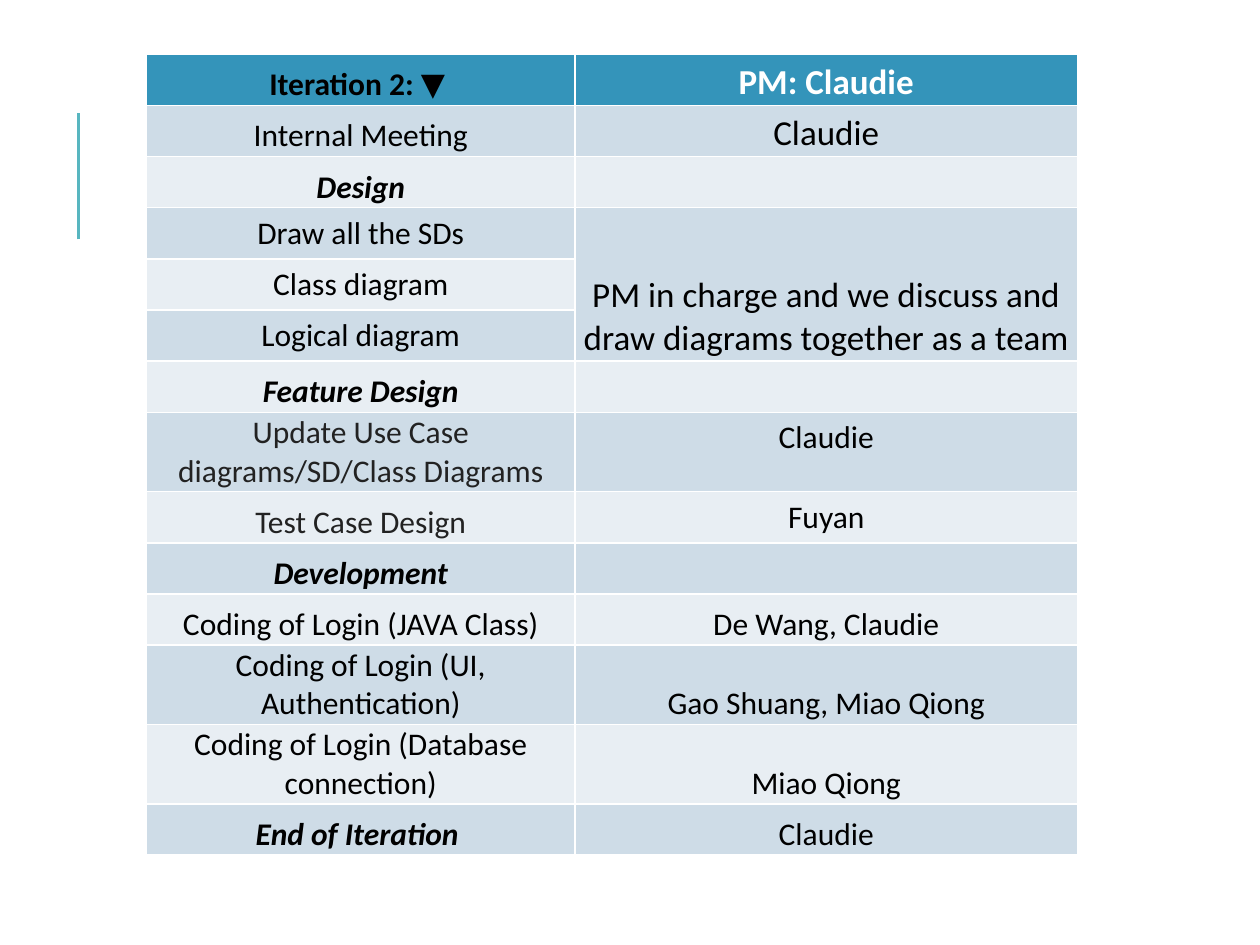
from lxml.etree import SubElement
from pptx import Presentation
from pptx.dml.color import RGBColor
from pptx.enum.shapes import MSO_CONNECTOR
from pptx.enum.text import MSO_ANCHOR, PP_ALIGN
from pptx.oxml.ns import qn
from pptx.util import Pt

HUES = {
    "head": "3494BA",
    "odd": "CEDCE7",
    "even": "E8EEF3",
    "rule": "58B6C0",
    "ink": "000000",
    "soft": "222222",
    "white": "FFFFFF",
}

# Each entry: left text, left style, right text, right style
ROWS = [
    ("Iteration 2: ▼ ", "bold", "PM: Claudie", "title"),
    ("Internal Meeting", "low", "Claudie", "large"),
    ("Design", "group", "", "top"),
    ("Draw all the SDs", "top",
     "PM in charge and we discuss and draw diagrams together as a team", "large"),
    ("Class diagram", "top", "", "top"),
    ("Logical diagram", "top", "", "top"),
    ("Feature Design", "group", "", "top"),
    ("Update Use Case diagrams/SD/Class Diagrams", "soft", "Claudie", "top"),
    ("Test Case Design", "soft", "Fuyan", "top"),
    ("Development", "group", "", "top"),
    ("Coding of Login (JAVA Class)", "low", "De Wang, Claudie", "low"),
    ("Coding of Login (UI, Authentication)", "low", "Gao Shuang, Miao Qiong", "low"),
    ("Coding of Login (Database connection)", "low", "Miao Qiong", "low"),
    ("End of Iteration ", "group", "Claudie", "low"),
]


def color(name):
    """Return the named colour."""
    return RGBColor.from_string(HUES[name])


def write(cell, text, style):
    """Put centred text in a cell in one of the table's styles."""
    if style != "top":
        cell.vertical_anchor = MSO_ANCHOR.BOTTOM
        cell.margin_left = cell.margin_right = Pt(1.44)
        cell.margin_top = cell.margin_bottom = Pt(0.72)
    para = cell.text_frame.paragraphs[0]
    para.text = text
    para.alignment = PP_ALIGN.CENTER
    font = para.font
    font.name = "Calibri"
    font.size = Pt(20 if style in ("title", "large") else 18)
    font.bold = style in ("bold", "title", "group")
    font.italic = style == "group"
    font.color.rgb = color({"title": "white", "soft": "soft"}.get(style, "ink"))


def add_plan(slide, left, top, width, height):
    """Add the table of tasks and the people in charge."""
    frame = slide.shapes.add_table(
        len(ROWS), 2, Pt(left), Pt(top), Pt(width), Pt(height))
    grid = frame.table
    share = 0.46
    grid.columns[0].width = Pt(width * share)
    grid.columns[1].width = Pt(width * (1 - share))
    for row, (task, look, owner, form) in enumerate(ROWS):
        grid.rows[row].height = Pt(29.25)
        shade = "head" if row == 0 else "odd" if row % 2 else "even"
        for col, (text, style) in enumerate(((task, look), (owner, form))):
            cell = grid.cell(row, col)
            cell.fill.solid()
            cell.fill.fore_color.rgb = color(shade)
            write(cell, text, style)
    grid.cell(3, 1).merge(grid.cell(5, 1))
    frame.height = Pt(height)


def add_rule(slide, left, top, height):
    """Add the upright accent line at the left margin."""
    line = slide.shapes.add_connector(
        MSO_CONNECTOR.STRAIGHT, Pt(left), Pt(top + height), Pt(left), Pt(top))
    line.line.color.rgb = color("rule")
    line.line.width = Pt(1.5)
    SubElement(line._element.spPr, qn("a:effectLst"))


def main():
    """Build and save the slide."""
    deck = Presentation()
    deck.slide_width, deck.slide_height = Pt(720), Pt(540)
    slide = deck.slides.add_slide(deck.slide_layouts[6])
    add_rule(slide, 44.8, 64.8, 72)
    add_plan(slide, 83.8, 31, 532, 455)
    deck.save("out.pptx")


if __name__ == "__main__":
    main()
